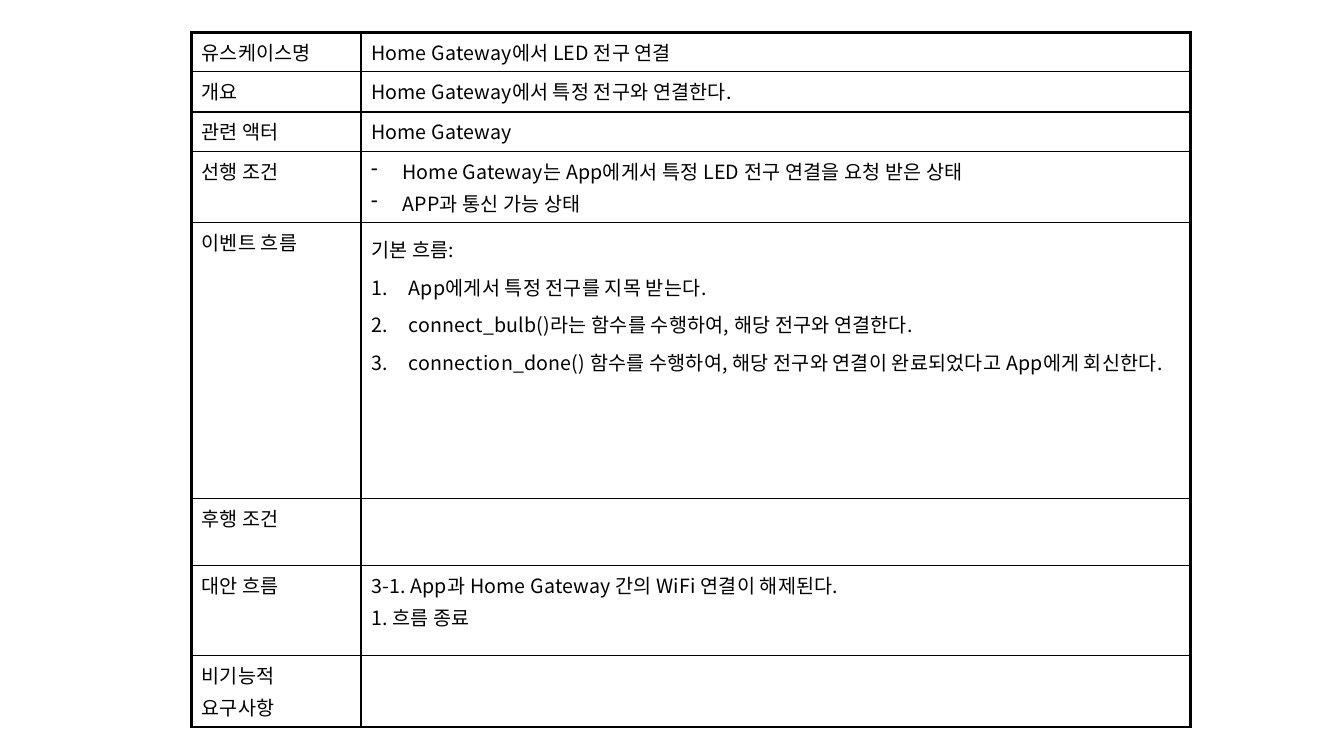
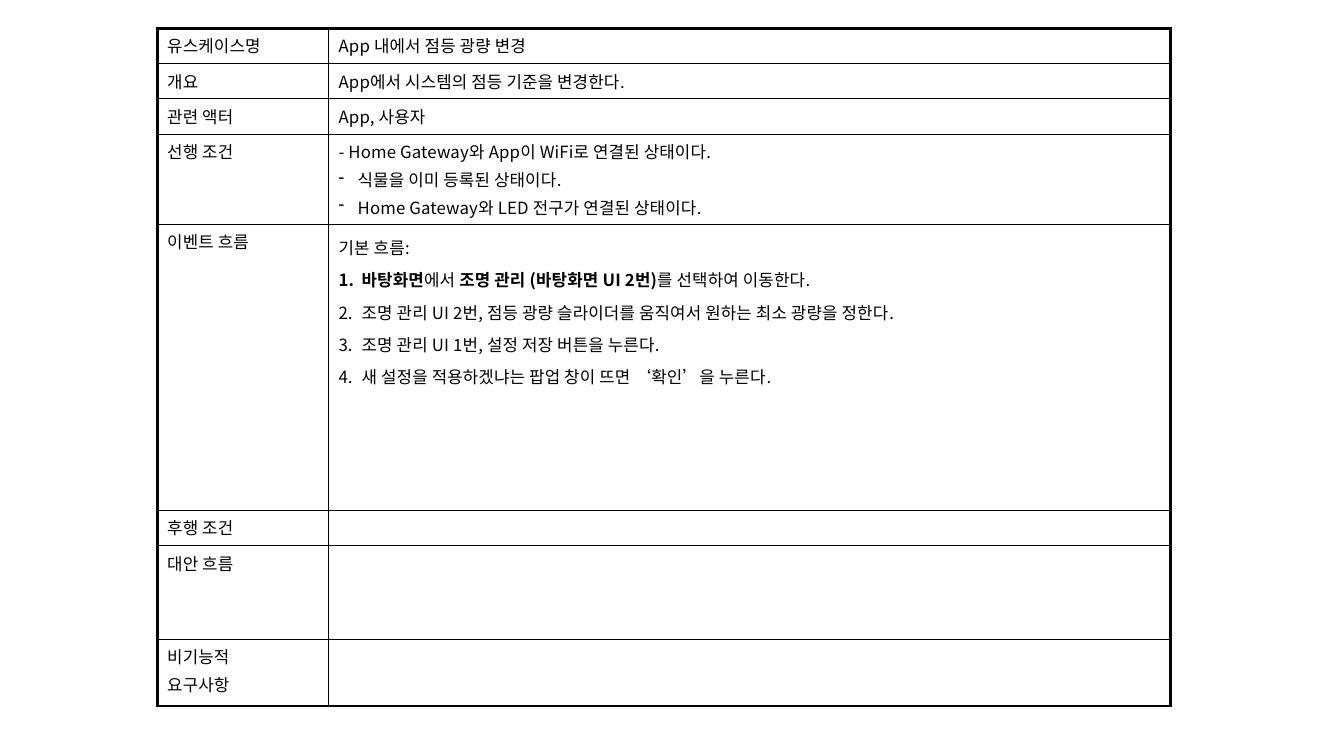
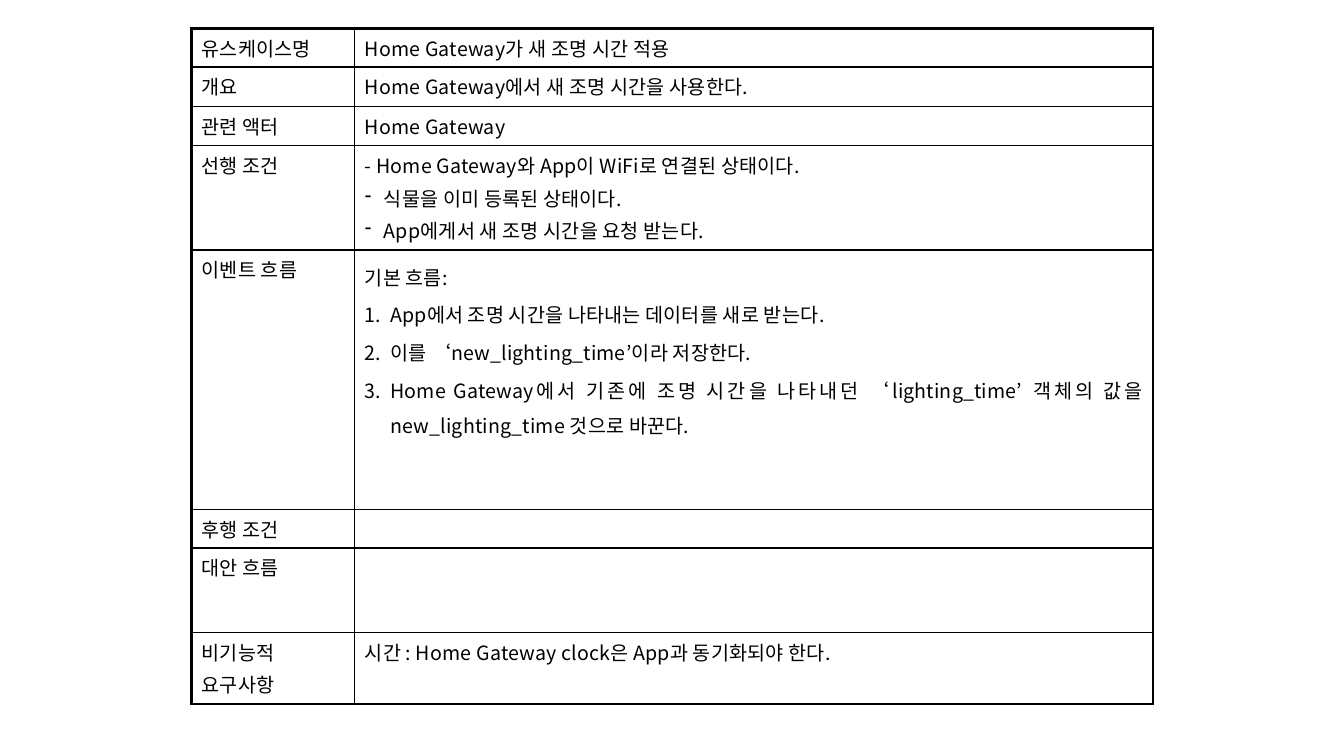
import typing

import pptx
import pptx.dml.color
import pptx.enum.text
import pptx.oxml.ns
import pptx.util
from lxml import etree

Cm, Pt = pptx.util.Cm, pptx.util.Pt
qn = pptx.oxml.ns.qn

INK = pptx.dml.color.RGBColor(0x00, 0x00, 0x00)
FONT = "Noto Sans CJK KR"
TRACKING = 10  # hundredths of a point
OUTER_LINE, INNER_LINE = Pt(2.25), Pt(1)

LABELS = ["유스케이스명", "개요", "관련 액터", "선행 조건", "이벤트 흐름",
          "후행 조건", "대안 흐름", "비기능적\n요구사항"]
FLOW_ROW = LABELS.index("이벤트 흐름")


class Line(typing.NamedTuple):
    """One paragraph: (text, bold) runs, with an optional list marker."""
    runs: list
    marker: str = ""
    indent: float = 0


class UseCase(typing.NamedTuple):
    """Table place and sizes in cm, text size in points, lines of each row."""
    left: float
    top: float
    columns: list
    row_heights: list
    text_size: int
    contents: list


def plain(*texts):
    return [Line([(text, False)]) for text in texts]


def dashed(indent, *texts):
    return [Line([(text, False)], "-", indent) for text in texts]


def flow(indent, *steps):
    """Heading of the basic flow and its numbered steps."""
    numbered = [Line([(step, False)] if isinstance(step, str) else step, "1.", indent)
                for step in steps]
    return plain("기본 흐름:") + numbered


CONNECT_BULB = UseCase(
    4.83, 0.81, [4.27, 20.9], [0.99, 1.02, 0.99, 1.8, 6.96, 1.68, 2.27, 1.8], 14,
    [
        plain("Home Gateway에서 LED 전구 연결"),
        plain("Home Gateway에서 특정 전구와 연결한다."),
        plain("Home Gateway"),
        dashed(0.79, "Home Gateway는 App에게서 특정 LED 전구 연결을 요청 받은 상태",
               "APP과 통신 가능 상태"),
        flow(0.95, "App에게서 특정 전구를 지목 받는다.",
             "connect_bulb()라는 함수를 수행하여, 해당 전구와 연결한다.",
             "connection_done() 함수를 수행하여, 해당 전구와 연결이 완료되었다고 "
             "App에게 회신한다."),
        [],
        plain("3-1. App과 Home Gateway 간의 WiFi 연결이 해제된다.", "1. 흐름 종료"),
        [],
    ])

CHANGE_BRIGHTNESS = UseCase(
    3.96, 0.71, [4.32, 21.21], [0.89, 0.89, 0.89, 2.27, 7.21, 0.89, 2.36, 1.68], 12,
    [
        plain("App 내에서 점등 광량 변경"),
        plain("App에서 시스템의 점등 기준을 변경한다."),
        plain("App, 사용자"),
        plain("- Home Gateway와 App이 WiFi로 연결된 상태이다.")
        + dashed(0.48, "식물을 이미 등록된 상태이다.",
                 "Home Gateway와 LED 전구가 연결된 상태이다."),
        flow(0.58,
             [("바탕화면", True), ("에서 ", False),
              ("조명 관리 (바탕화면 UI 2번)", True), ("를 선택하여 이동한다.", False)],
             "조명 관리 UI 2번, 점등 광량 슬라이더를 움직여서 원하는 최소 광량을 정한다.",
             "조명 관리 UI 1번, 설정 저장 버튼을 누른다.",
             "새 설정을 적용하겠냐는 팝업 창이 뜨면 ‘확인’을 누른다."),
        [],
        [],
        [],
    ])

APPLY_LIGHTING_TIME = UseCase(
    4.83, 0.71, [4.11, 20.12], [0.98, 1, 0.98, 2.63, 6.53, 0.98, 2.13, 1.8], 14,
    [
        plain("Home Gateway가 새 조명 시간 적용"),
        plain("Home Gateway에서 새 조명 시간을 사용한다."),
        plain("Home Gateway"),
        plain("- Home Gateway와 App이 WiFi로 연결된 상태이다.")
        + dashed(0.48, "식물을 이미 등록된 상태이다.",
                 "App에게서 새 조명 시간을 요청 받는다."),
        flow(0.64, "App에서 조명 시간을 나타내는 데이터를 새로 받는다.",
             "이를 ‘new_lighting_time’이라 저장한다.",
             "Home Gateway에서 기존에 조명 시간을 나타내던 ‘lighting_time’ 객체의 값을 "
             "new_lighting_time 것으로 바꾼다."),
        [],
        [],
        plain("시간 : Home Gateway clock은 App과 동기화되야 한다."),
    ])


def set_marker(paragraph, marker, indent):
    properties = paragraph._p.get_or_add_pPr()
    properties.set("marL", str(Cm(indent)))
    properties.set("indent", str(-Cm(indent)))
    if marker == "-":
        etree.SubElement(properties, qn("a:buChar"), char=marker)
    else:
        etree.SubElement(properties, qn("a:buAutoNum"), type="arabicPeriod")


def add_run(paragraph, text, bold, size):
    run = paragraph.add_run()
    run.text = text
    run.font.size = Pt(size)
    run.font.bold = bold
    run.font.color.rgb = INK
    run.font.name = FONT
    properties = run._r.get_or_add_rPr()
    properties.set("spc", str(TRACKING))
    etree.SubElement(properties, qn("a:ea"), typeface=FONT)


def fill_cell(cell, lines, size, is_flow=False):
    frame = cell.text_frame
    if not lines:
        # Keeps an empty row from growing to the default text size.
        etree.SubElement(frame.paragraphs[0]._p, qn("a:endParaRPr"), sz=str(size * 100))
    for index, line in enumerate(lines):
        paragraph = frame.add_paragraph() if index else frame.paragraphs[0]
        if line.marker:
            set_marker(paragraph, line.marker, line.indent)
        if is_flow:
            paragraph.alignment = pptx.enum.text.PP_ALIGN.JUSTIFY
            paragraph.line_spacing = 1.25
        if index:
            paragraph.space_before = Pt(size * (0.1 if is_flow else 0.2))
        for text, bold in line.runs:
            add_run(paragraph, text, bold, size)


def set_borders(cell, outer_sides):
    properties = cell._tc.get_or_add_tcPr()
    for side in "LRTB":
        width = OUTER_LINE if side in outer_sides else INNER_LINE
        border = etree.SubElement(properties, qn("a:ln" + side), w=str(width))
        fill = etree.SubElement(border, qn("a:solidFill"))
        etree.SubElement(fill, qn("a:srgbClr"), val=str(INK))
    cell.fill.background()


def add_use_case(presentation, case):
    slide = presentation.slides.add_slide(presentation.slide_layouts[6])
    table = slide.shapes.add_table(
        len(LABELS), 2, Cm(case.left), Cm(case.top),
        Cm(sum(case.columns)), Cm(sum(case.row_heights))).table
    table.first_row = table.horz_banding = False
    for column, width in zip(table.columns, case.columns):
        column.width = Cm(width)
    for row, (label, lines) in enumerate(zip(LABELS, case.contents)):
        table.rows[row].height = Cm(case.row_heights[row])
        label_cell, content_cell = table.cell(row, 0), table.cell(row, 1)
        fill_cell(label_cell, plain(*label.split("\n")), case.text_size)
        fill_cell(content_cell, lines, case.text_size, row == FLOW_ROW)
        edge = {0: "T", len(LABELS) - 1: "B"}.get(row, "")
        set_borders(label_cell, "L" + edge)
        set_borders(content_cell, "R" + edge)


def main():
    presentation = pptx.Presentation()
    presentation.slide_width, presentation.slide_height = Cm(33.87), Cm(19.05)
    for case in (CONNECT_BULB, CHANGE_BRIGHTNESS, APPLY_LIGHTING_TIME):
        add_use_case(presentation, case)
    presentation.save("out.pptx")


if __name__ == "__main__":
    main()
